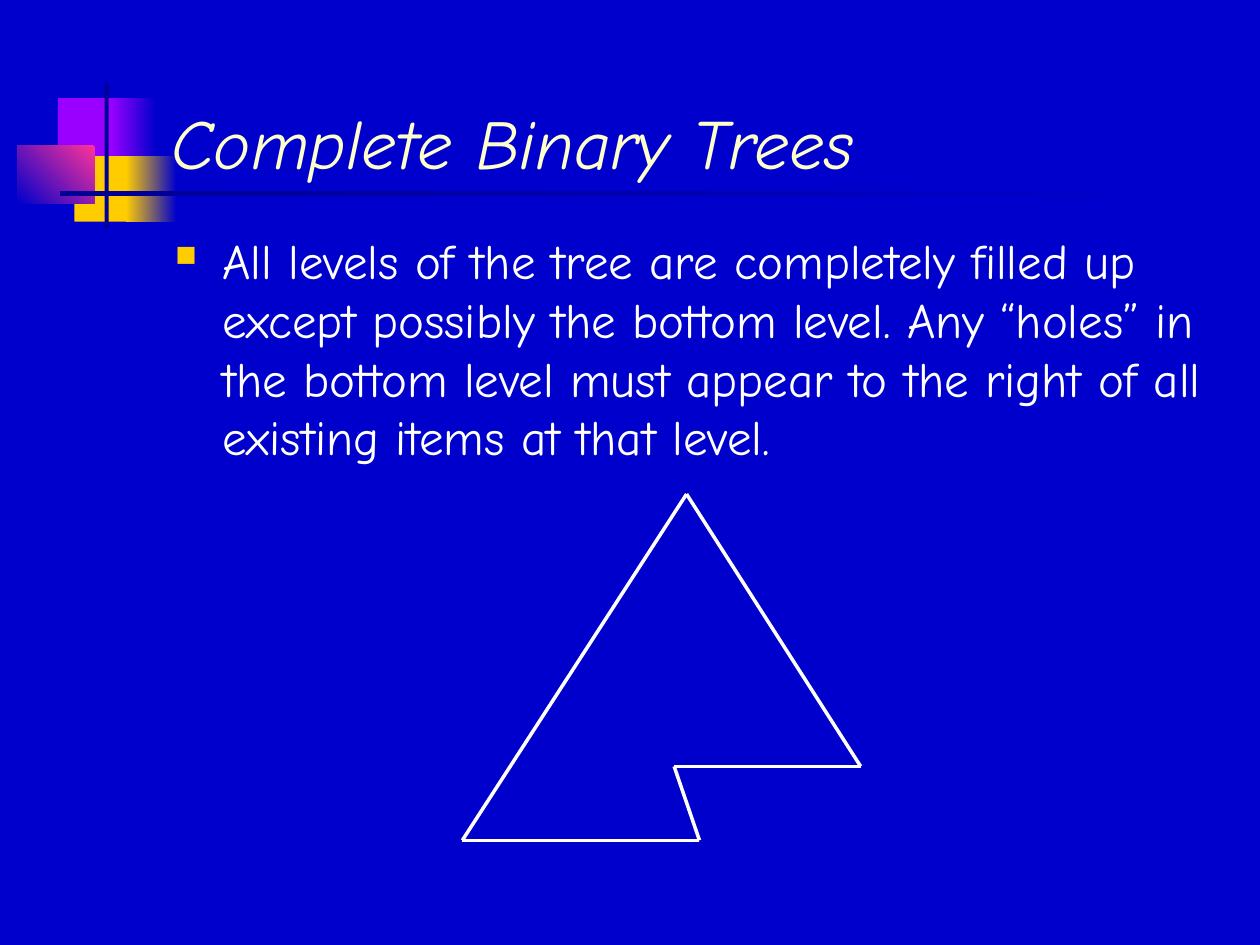
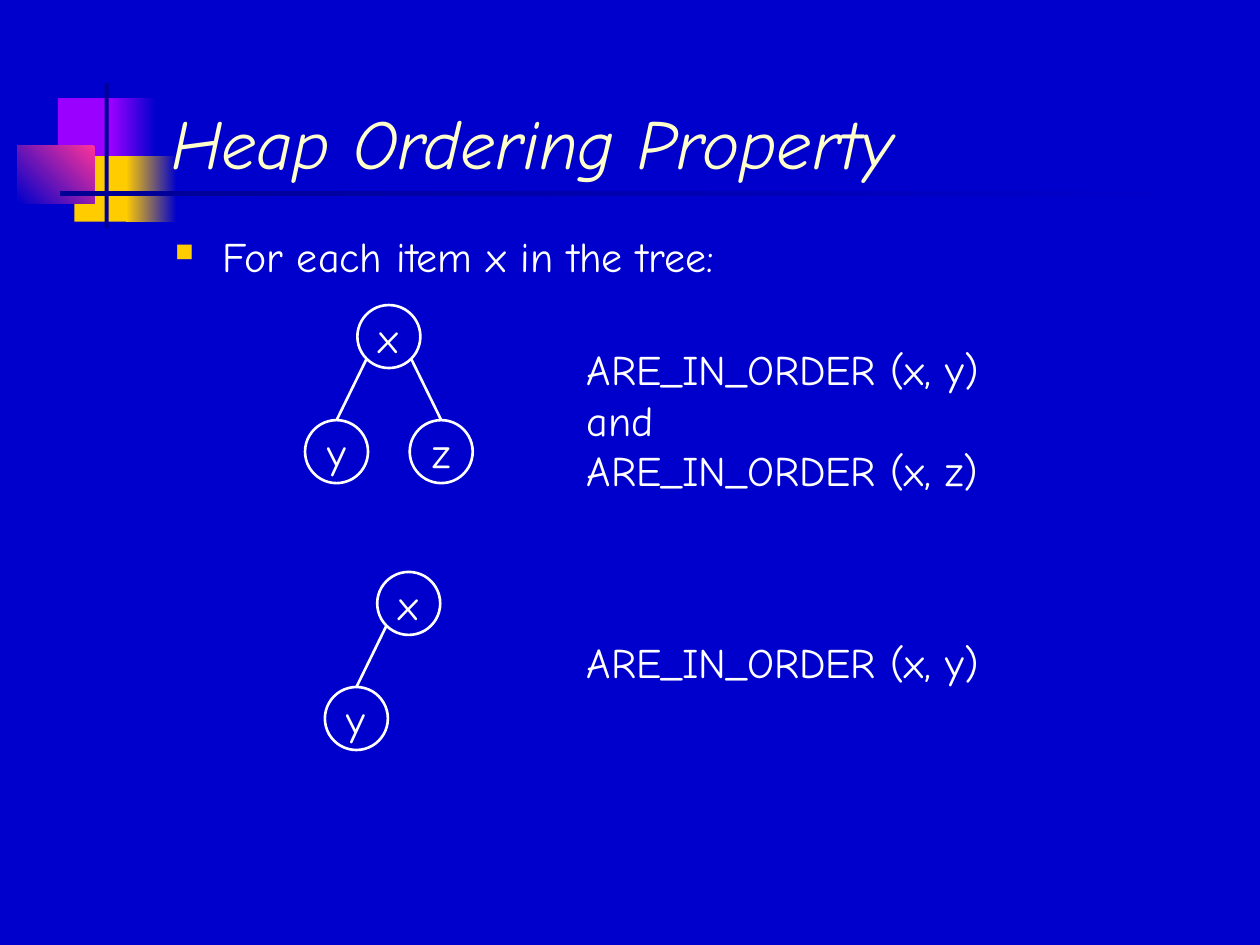
from math import sqrt

from lxml.etree import SubElement
from pptx import Presentation
from pptx.dml.color import RGBColor
from pptx.enum.shapes import MSO_CONNECTOR, MSO_SHAPE
from pptx.enum.text import MSO_ANCHOR, MSO_AUTO_SIZE, PP_ALIGN
from pptx.oxml.ns import qn
from pptx.util import Cm, Pt

FONT = "Comic Neue"
BLUE = RGBColor(0x00, 0x00, 0xCC)
NAVY = RGBColor(0x00, 0x00, 0x94)
PURPLE = RGBColor(0x99, 0x00, 0xFF)
YELLOW = RGBColor(0xFF, 0xCC, 0x00)
PINK = RGBColor(0xFF, 0x33, 0x99)
CREAM = RGBColor(0xFF, 0xFF, 0xCC)
WHITE = RGBColor(0xFF, 0xFF, 0xFF)

# left, top, width, height, colours (two make a gradient), gradient angle
ORNAMENT = [
    (1.17, 1.98, 1.22, 1.32, [PURPLE], 0),
    (2.24, 1.98, 0.91, 1.32, [BLUE, PURPLE], 180),
    (1.5, 3.15, 1.17, 1.32, [YELLOW], 0),
    (2.54, 3.15, 1.02, 1.32, [BLUE, YELLOW], 180),
    (0.36, 2.94, 1.55, 1.17, [PINK, BLUE], 225),
    (2.11, 1.68, 0.08, 2.92, [NAVY], 0),
    (1.22, 3.86, 22.86, 0.1, [BLUE, NAVY], 180),
]

TITLE_BOX = (3.2, 0.64, 21.64, 3.18)
BODY_BOX = (3.28, 4.52, 21.59, 11.43)

NODE_SIZE = 1.27
SIBLING_STEP = 2.11
LEVEL_STEP = 2.32


def add_ornament(slide):
    for left, top, width, height, colours, angle in ORNAMENT:
        shape = slide.shapes.add_shape(
            MSO_SHAPE.RECTANGLE, Cm(left), Cm(top), Cm(width), Cm(height))
        shape.shadow.inherit = False
        shape.line.fill.background()
        if len(colours) == 1:
            shape.fill.solid()
            shape.fill.fore_color.rgb = colours[0]
        else:
            shape.fill.gradient()
            shape.fill.gradient_angle = angle
            for stop, colour in zip(shape.fill.gradient_stops, colours):
                stop.color.rgb = colour


def write_text(shape, text, size=24, colour=WHITE, italic=False):
    shape.text_frame.text = text
    for paragraph in shape.text_frame.paragraphs:
        for run in paragraph.runs:
            run.font.name = FONT
            run.font.size = Pt(size)
            run.font.color.rgb = colour
            run.font.italic = italic


def add_text(slide, box, text, **style):
    text_box = slide.shapes.add_textbox(*map(Cm, box))
    text_box.text_frame.word_wrap = True
    write_text(text_box, text, **style)
    return text_box


def add_title(slide, text):
    title = add_text(slide, TITLE_BOX, text, size=40, colour=CREAM, italic=True)
    title.text_frame.vertical_anchor = MSO_ANCHOR.BOTTOM


def add_bullet(slide, text, size):
    body = add_text(slide, BODY_BOX, text, size=size)
    properties = body.text_frame.paragraphs[0]._p.get_or_add_pPr()
    properties.set("marL", str(Cm(0.95)))
    properties.set("indent", str(-Cm(0.95)))
    bullet_colour = SubElement(properties, qn("a:buClr"))
    SubElement(bullet_colour, qn("a:srgbClr"), val=str(YELLOW))
    SubElement(properties, qn("a:buSzPct"), val="60000")
    SubElement(properties, qn("a:buChar"), char="■")


def add_condition(slide, box, text):
    condition = add_text(slide, box, text)
    condition.text_frame.word_wrap = False
    condition.text_frame.auto_size = MSO_AUTO_SIZE.SHAPE_TO_FIT_TEXT


def add_line(shapes, start, end, width):
    line = shapes.add_connector(
        MSO_CONNECTOR.STRAIGHT, *map(Cm, (*start, *end)))
    line.line.color.rgb = WHITE
    line.line.width = Pt(width)
    SubElement(line._element.spPr, qn("a:effectLst"))
    return line


def add_tree_outline(slide, left, top):
    """Draw a triangle whose bottom level is missing its right part."""
    width, height = 8.03, 6.98
    last_full_level = 5.49
    corners = [(4.52, 0), (width, last_full_level), (4.27, last_full_level),
               (4.78, height), (0, height)]
    corners = [(left + x, top + y) for x, y in corners]
    group = slide.shapes.add_group_shape()
    for start, end in zip(corners, corners[1:] + corners[:1]):
        add_line(group.shapes, start, end, 2)


def add_node(shapes, left, top, label):
    node = shapes.add_shape(
        MSO_SHAPE.OVAL, Cm(left), Cm(top), Cm(NODE_SIZE), Cm(NODE_SIZE))
    node.shadow.inherit = False
    node.fill.background()
    node.line.color.rgb = WHITE
    node.line.width = Pt(1.5)
    write_text(node, label)
    node.text_frame.word_wrap = False
    node.text_frame.vertical_anchor = MSO_ANCHOR.MIDDLE
    node.text_frame.paragraphs[0].alignment = PP_ALIGN.CENTER
    return node


def add_heap(slide, left, top, root, children):
    """Draw a root with its children; the first child is the left one."""
    shapes = slide.shapes.add_group_shape().shapes
    radius = NODE_SIZE / 2
    diagonal = radius / sqrt(2)
    root_left = left + SIBLING_STEP / 2
    add_node(shapes, root_left, top, root)
    for index, label in enumerate(children):
        child_left = left + index * SIBLING_STEP
        child_top = top + LEVEL_STEP
        child = add_node(shapes, child_left, child_top, label)
        side = 1 if index else -1
        start = (root_left + radius + side * diagonal, top + radius + diagonal)
        branch = add_line(shapes, start, (child_left + radius, child_top), 1.5)
        branch.end_connect(child, 0)


def add_slide(presentation, title):
    slide = presentation.slides.add_slide(presentation.slide_layouts[6])
    add_ornament(slide)
    add_title(slide, title)
    return slide


def add_complete_trees_slide(presentation):
    slide = add_slide(presentation, "Complete Binary Trees")
    add_bullet(
        slide,
        "All levels of the tree are completely filled up except possibly the "
        "bottom level. Any “holes” in the bottom level must appear to the "
        "right of all existing items at that level.",
        28)
    add_tree_outline(slide, 9.32, 9.96)


def add_heap_ordering_slide(presentation):
    slide = add_slide(presentation, "Heap Ordering Property")
    add_bullet(slide, "For each item x in the tree:", 24)
    add_heap(slide, 6.15, 6.15, "x", "yz")
    add_condition(slide, (11.58, 6.81, 10.03, 2.29),
                  "ARE_IN_ORDER (x, y) and\nARE_IN_ORDER (x, z)")
    add_heap(slide, 6.55, 11.53, "x", "y")
    add_condition(slide, (11.58, 12.7, 8.41, 1.27), "ARE_IN_ORDER (x, y)")


def main():
    presentation = Presentation()
    presentation.slide_width = Cm(25.4)
    presentation.slide_height = Cm(19.05)
    background = presentation.slide_master.background.fill
    background.solid()
    background.fore_color.rgb = BLUE
    add_complete_trees_slide(presentation)
    add_heap_ordering_slide(presentation)
    presentation.save("out.pptx")


if __name__ == "__main__":
    main()
